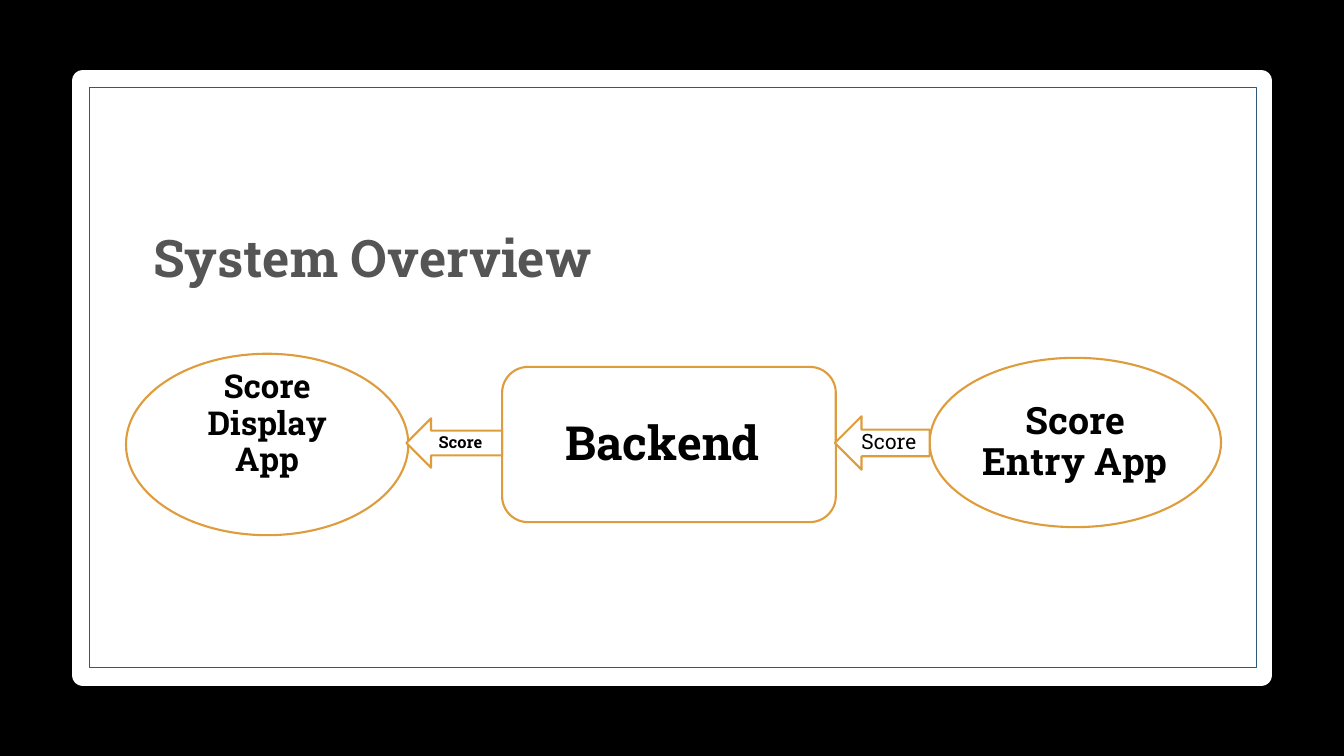
from dataclasses import dataclass

from pptx import Presentation
from pptx.dml.color import RGBColor
from pptx.enum.shapes import MSO_SHAPE
from pptx.enum.text import MSO_ANCHOR, PP_ALIGN
from pptx.util import Inches, Pt


@dataclass(frozen=True)
class Theme:
    font: str = "Roboto Slab"
    backdrop: RGBColor = RGBColor(0x00, 0x00, 0x00)
    panel: RGBColor = RGBColor(0xFF, 0xFF, 0xFF)
    frame: RGBColor = RGBColor(0x2A, 0x5B, 0x7F)
    outline: RGBColor = RGBColor(0xDE, 0x9C, 0x3C)
    title: RGBColor = RGBColor(0x55, 0x55, 0x55)
    label: RGBColor = RGBColor(0x00, 0x00, 0x00)
    title_size: float = 37
    backend_size: float = 33.6
    entry_size: float = 26.9
    display_size: float = 23.5
    display_arrow_size: float = 11.8
    entry_arrow_size: float = 15.1


theme = Theme()

prs = Presentation()
prs.slide_width = Inches(13.33)
prs.slide_height = Inches(7.5)
slide = prs.slides.add_slide(prs.slide_layouts[6])
slide.background.fill.solid()
slide.background.fill.fore_color.rgb = theme.backdrop


def add_outlined(preset, box, line_color, line_width, filled=True):
    outlined = slide.shapes.add_shape(preset, *map(Inches, box))
    outlined.shadow.inherit = False
    if filled:
        outlined.fill.solid()
        outlined.fill.fore_color.rgb = theme.panel
    else:
        outlined.fill.background()
    outlined.line.color.rgb = line_color
    outlined.line.width = Pt(line_width)
    return outlined


def write_text(frame, text, size, color, bold=True):
    paragraph = frame.paragraphs[0]
    paragraph.text = text
    paragraph.font.name = theme.font
    paragraph.font.size = Pt(size)
    paragraph.font.bold = bold
    paragraph.font.color.rgb = color
    return paragraph


add_outlined(MSO_SHAPE.RECTANGLE, (0.82, 0.8, 11.69, 5.9), theme.panel, 15)
add_outlined(MSO_SHAPE.RECTANGLE, (0.89, 0.87, 11.57, 5.75), theme.frame, 1, filled=False)

title = slide.shapes.add_textbox(Inches(1.42), Inches(2.19), Inches(5.72), Inches(1.11))
title.text_frame.word_wrap = True
write_text(title.text_frame, "System Overview", theme.title_size, theme.title)

# preset, box, text, size, bold, wrap, insets (left, top, right, bottom)
components = [
    (MSO_SHAPE.ROUNDED_RECTANGLE, (4.98, 3.64, 3.31, 1.54), "Backend",
     theme.backend_size, True, True, (0.07, 0.05, 0.2, 0.05)),
    (MSO_SHAPE.OVAL, (9.22, 3.55, 2.89, 1.68), "Score Entry App",
     theme.entry_size, True, True, (0.07, 0.05, 0.07, 0.05)),
    (MSO_SHAPE.OVAL, (1.25, 3.51, 2.8, 1.8), "Score Display App",
     theme.display_size, True, True, (0.1, 0, 0.1, 0.4)),
    (MSO_SHAPE.LEFT_ARROW, (4.03, 4.15, 0.95, 0.49), "Score",
     theme.display_arrow_size, True, False, (0, 0, 0, 0)),
    (MSO_SHAPE.LEFT_ARROW, (8.28, 4.13, 0.94, 0.53), "Score",
     theme.entry_arrow_size, False, False, (0, 0, 0, 0)),
]
for preset, box, text, size, bold, wrap, insets in components:
    component = add_outlined(preset, box, theme.outline, 1.5)
    frame = component.text_frame
    frame.word_wrap = wrap
    frame.vertical_anchor = MSO_ANCHOR.MIDDLE
    (frame.margin_left, frame.margin_top,
     frame.margin_right, frame.margin_bottom) = map(Inches, insets)
    label = write_text(frame, text, size, theme.label, bold)
    label.alignment = PP_ALIGN.CENTER
    label.line_spacing = 0.92

prs.save("out.pptx")
